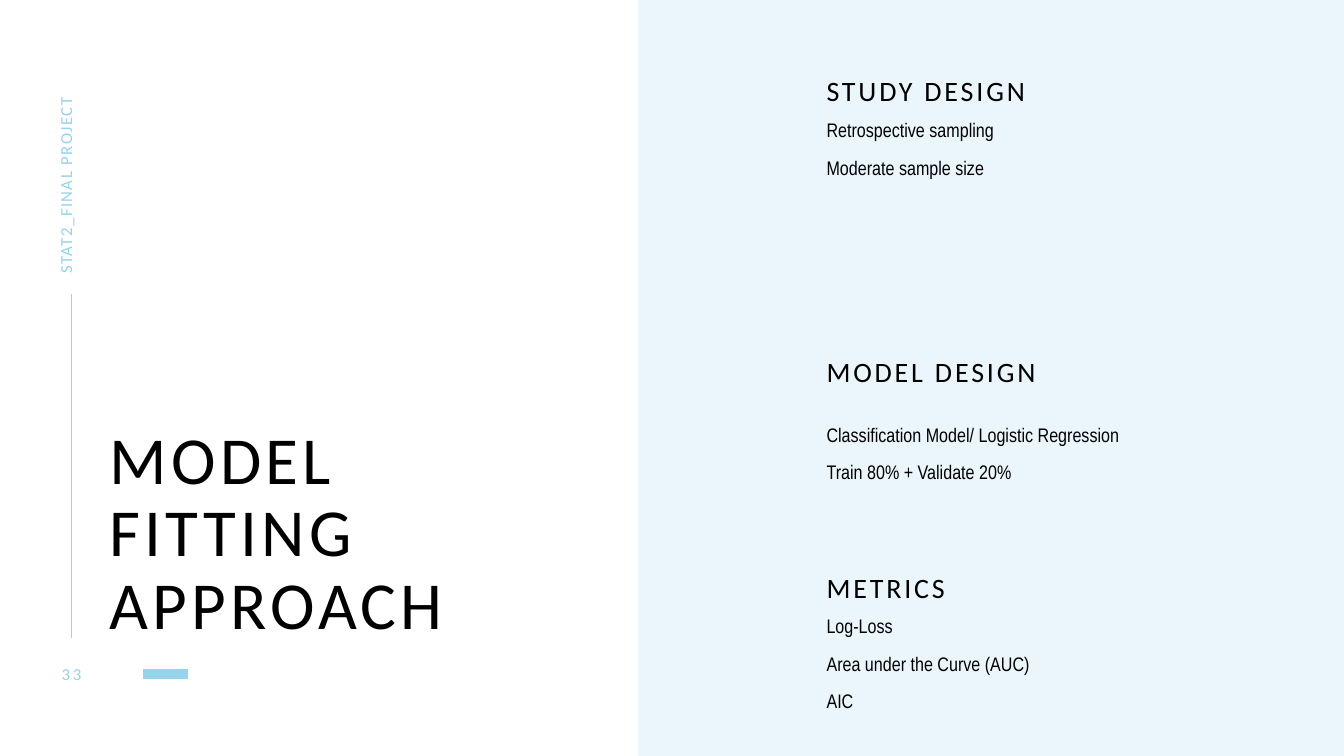
from pptx import Presentation
from pptx.dml.color import RGBColor
from pptx.enum.shapes import MSO_CONNECTOR, MSO_SHAPE
from pptx.enum.text import MSO_ANCHOR, PP_ALIGN
from pptx.oxml.ns import qn
from pptx.util import Pt

BLACK = RGBColor(0x00, 0x00, 0x00)
SKY = RGBColor(0x96, 0xD3, 0xED)
PALE = RGBColor(0xEA, 0xF6, 0xFB)

SECTION_LEFT = 590.4
# Heading top, body top, heading, body lines
SECTIONS = [
    (49, 84.2, "STUDY DESIGN", ["Retrospective sampling", "Moderate sample size"]),
    (249.8, 302, "MODEL DESIGN",
     ["Classification Model/ Logistic Regression", "Train 80% + Validate 20%"]),
    (403.9, 438.7, "METRICS", ["Log-Loss", "Area under the Curve (AUC)", "AIC"]),
]


def add_line(s, x1, y1, x2, y2, width):
    line = s.shapes.add_connector(
        MSO_CONNECTOR.STRAIGHT, Pt(x1), Pt(y1), Pt(x2), Pt(y2))
    line.line.color.rgb = SKY
    line.line.width = Pt(width)
    sp_pr = line._element.spPr
    sp_pr.append(sp_pr.makeelement(qn("a:effectLst"), {}))


def add_panel(s, x, y, w, h):
    sp = s.shapes.add_shape(MSO_SHAPE.RECTANGLE, Pt(x), Pt(y), Pt(w), Pt(h))
    sp.shadow.inherit = False
    sp.fill.solid()
    sp.fill.fore_color.rgb = PALE
    sp.line.fill.background()


def add_box(s, x, y, w, h):
    return s.shapes.add_textbox(Pt(x), Pt(y), Pt(w), Pt(h))


def add_outline(s, x, y, w, h):
    """An unfilled four-sided freeform that holds a heading."""
    builder = s.shapes.build_freeform(Pt(x), Pt(y))
    builder.add_line_segments(
        [(Pt(x + w), Pt(y)), (Pt(x + w), Pt(y + h)), (Pt(x), Pt(y + h))], close=True)
    sp = builder.convert_to_shape()
    sp.shadow.inherit = False
    sp.fill.background()
    sp.line.fill.background()
    return sp


def fill_text(sp, lines, size, color=BLACK, font="Calibri", tracking=0,
              anchor=MSO_ANCHOR.TOP, align=PP_ALIGN.LEFT, spacing=None, before=0):
    """Each line is a paragraph; a newline in it is a line break."""
    tf = sp.text_frame
    tf.word_wrap = True
    tf.vertical_anchor = anchor
    tf.margin_left = tf.margin_right = tf.margin_top = tf.margin_bottom = 0
    for i, line in enumerate(lines):
        p = tf.add_paragraph() if i else tf.paragraphs[0]
        p.alignment = align
        p.line_spacing = spacing
        if i:
            p.space_before = Pt(before)
        for j, part in enumerate(line.split("\n")):
            if j:
                p.add_line_break()
            r = p.add_run()
            r.text = part
            r.font.size = Pt(size)
            r.font.name = font
            r.font.color.rgb = color
            if tracking:
                r._r.get_or_add_rPr().set("spc", str(tracking * 100))


def add_section(s, heading_top, body_top, heading, lines):
    fill_text(add_outline(s, SECTION_LEFT, heading_top, 324, 27.4), [heading], 20,
              tracking=2, anchor=MSO_ANCHOR.BOTTOM, spacing=Pt(17.2))
    fill_text(add_box(s, SECTION_LEFT, body_top, 306, 27 * len(lines)), lines, 14,
              font="Arial Narrow", before=10)


def main():
    prs = Presentation()
    prs.slide_width, prs.slide_height = Pt(960), Pt(540)
    s = prs.slides.add_slide(prs.slide_layouts[6])

    # Background panel and accent lines
    add_line(s, 51, 210, 51, 456, 1)
    add_panel(s, 456, 0, 504, 540)
    add_line(s, 102, 481.3, 134.6, 481.3, 7)

    # Page number and vertical project label
    fill_text(add_box(s, 33.1, 473.8, 36, 14.4), ["33"], 12, SKY, tracking=2,
              anchor=MSO_ANCHOR.MIDDLE, align=PP_ALIGN.CENTER)
    label = add_box(s, -38.9, 104.4, 171.4, 10.1)
    label.rotation = 270
    fill_text(label, ["STAT2_FINAL PROJECT"], 12, SKY, tracking=1,
              anchor=MSO_ANCHOR.MIDDLE)

    # Title
    fill_text(add_box(s, 78.5, 316, 351.4, 144), ["MODEL\nFITTING APPROACH"], 48,
              tracking=3, anchor=MSO_ANCHOR.BOTTOM, spacing=0.9)

    # Sections on the right
    for section in SECTIONS:
        add_section(s, *section)

    prs.save("out.pptx")


if __name__ == "__main__":
    main()
